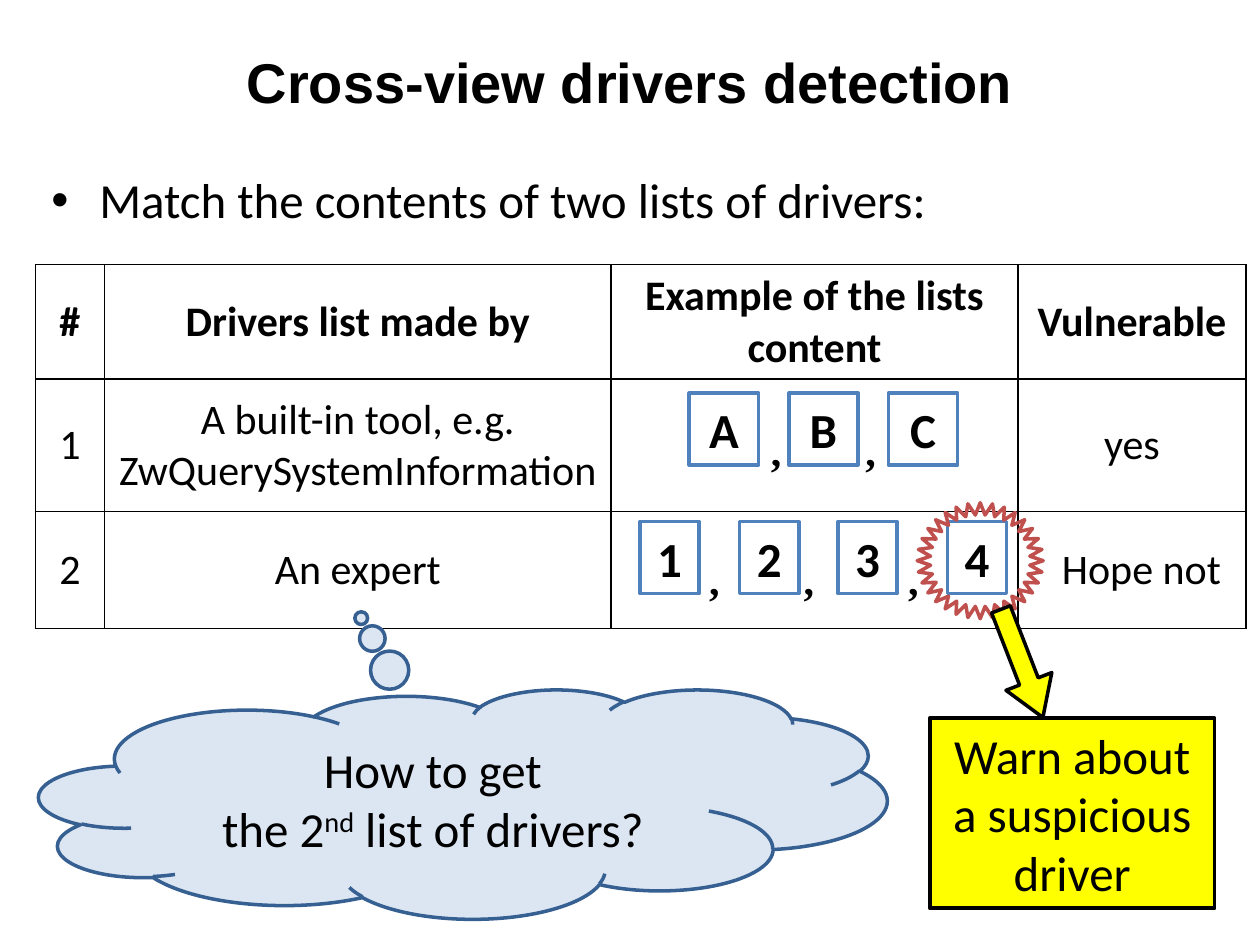
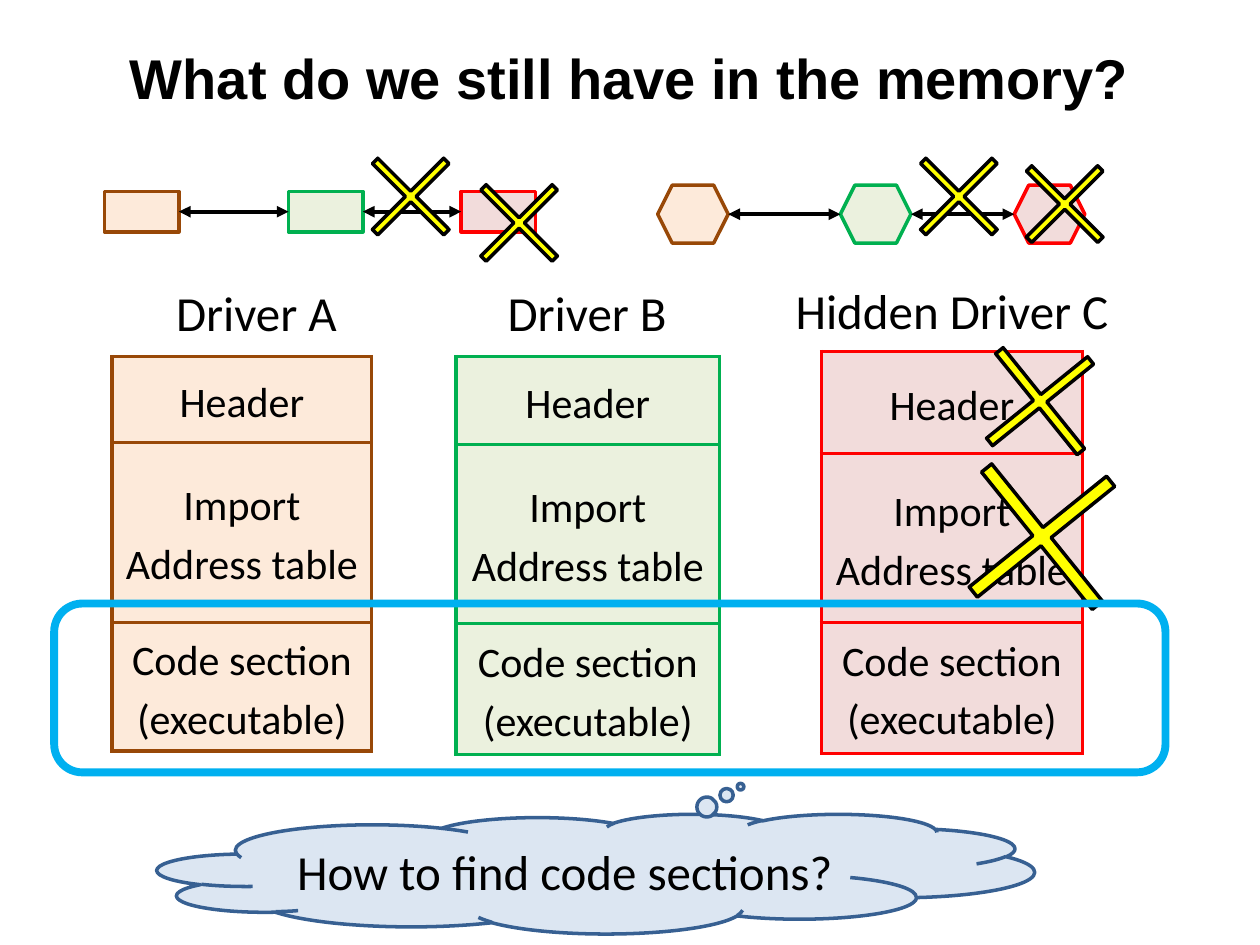
from lxml import etree
from pptx import Presentation
from pptx.dml.color import RGBColor
from pptx.enum.shapes import MSO_CONNECTOR, MSO_SHAPE
from pptx.enum.text import MSO_ANCHOR, PP_ALIGN
from pptx.oxml.ns import qn
from pptx.util import Inches, Pt

RECTANGLE, HEXAGON = MSO_SHAPE.RECTANGLE, MSO_SHAPE.HEXAGON
CENTER, LEFT = PP_ALIGN.CENTER, PP_ALIGN.LEFT
MIDDLE, TOP = MSO_ANCHOR.MIDDLE, MSO_ANCHOR.TOP
LEFT_SIDE, RIGHT_SIDE = 1, 3

BLACK = RGBColor(0x00, 0x00, 0x00)
WHITE = RGBColor(0xFF, 0xFF, 0xFF)
YELLOW = RGBColor(0xFF, 0xFF, 0x00)
BLUE = RGBColor(0x4F, 0x81, 0xBD)
SKY = RGBColor(0x00, 0xB0, 0xF0)
BRICK = RGBColor(0xC0, 0x50, 0x4D)
CLOUD_FILL = RGBColor(0xDC, 0xE6, 0xF2)
CLOUD_LINE = RGBColor(0x37, 0x60, 0x92)
# Fill and line of each driver
DRIVER_A = (RGBColor(0xFD, 0xEA, 0xDA), RGBColor(0x98, 0x48, 0x07))
DRIVER_B = (RGBColor(0xEB, 0xF1, 0xDE), RGBColor(0x00, 0xB0, 0x50))
DRIVER_C = (RGBColor(0xF2, 0xDC, 0xDB), RGBColor(0xFF, 0x00, 0x00))
DRIVER_COLORS = (DRIVER_A, DRIVER_B, DRIVER_C)


# ---- Shared parts ----

def add_run(paragraph, text, size=28, bold=False, font_name="Calibri"):
    run = paragraph.add_run()
    run.text = text
    font = run.font
    font.name, font.size, font.bold = font_name, Pt(size), bold
    font.color.rgb = BLACK
    return run


def write_lines(frame, lines, align=CENTER, line_spacing=None, **font):
    for index, line in enumerate(lines):
        paragraph = frame.paragraphs[0] if index == 0 else frame.add_paragraph()
        paragraph.alignment = align
        if line_spacing:
            paragraph.line_spacing = line_spacing
        add_run(paragraph, line, **font)


def add_text(slide, box, lines, anchor=TOP, wrap=True, **style):
    frame = slide.shapes.add_textbox(*map(Inches, box)).text_frame
    frame.word_wrap = wrap
    frame.vertical_anchor = anchor
    write_lines(frame, lines, **style)
    return frame


def add_title(slide, box, title):
    add_text(slide, box, [title], MIDDLE, size=32, bold=True, font_name="Arial")


def add_figure(slide, kind, box, fill, line, width=2, adjustments=(), rotation=0):
    shape = slide.shapes.add_shape(kind, *map(Inches, box))
    shape.shadow.inherit = False
    if fill is None:
        shape.fill.background()
    else:
        shape.fill.solid()
        shape.fill.fore_color.rgb = fill
    shape.line.color.rgb = line
    shape.line.width = Pt(width)
    for index, value in enumerate(adjustments):
        shape.adjustments[index] = value
    shape.rotation = rotation
    shape.text_frame.word_wrap = True
    return shape


def add_cloud(slide, box, pointer):
    cloud = add_figure(slide, MSO_SHAPE.CLOUD_CALLOUT, box, CLOUD_FILL, CLOUD_LINE,
                       adjustments=pointer)
    return cloud.text_frame


def add_grid(slide, left, top, columns, rows):
    table = slide.shapes.add_table(
        len(rows), len(columns), Inches(left), Inches(top),
        Inches(sum(columns)), Inches(sum(rows))).table
    table.first_row = table.horz_banding = False
    for column, width in zip(table.columns, columns):
        column.width = Inches(width)
    for row, height in zip(table.rows, rows):
        row.height = Inches(height)
    return table


def style_cell(cell, border, width, fill=None):
    cell.vertical_anchor = MIDDLE
    properties = cell._tc.get_or_add_tcPr()
    for side in ("lnL", "lnR", "lnT", "lnB"):
        edge = etree.SubElement(properties, qn(f"a:{side}"), w=str(Pt(width)))
        solid = etree.SubElement(edge, qn("a:solidFill"))
        etree.SubElement(solid, qn("a:srgbClr"), val=str(border))
    if fill is None:
        cell.fill.background()
    else:
        cell.fill.solid()
        cell.fill.fore_color.rgb = fill


# ---- Slide 1: comparing two lists ----

def add_bullet_line(slide, box, text):
    paragraph = add_text(slide, box, [text], align=LEFT).paragraphs[0]
    properties = paragraph._p.get_or_add_pPr()
    properties.set("marL", str(Inches(0.38)))
    properties.set("indent", str(-Inches(0.38)))
    etree.SubElement(properties, qn("a:buFont"), typeface="Arial")
    etree.SubElement(properties, qn("a:buChar"), char="•")


def add_comparison_table(slide, left, top):
    rows = [
        (["#"], ["Drivers list made by"], ["Example of the lists content"], ["Vulnerable"]),
        (["1"], ["A built-in tool, e.g.", "ZwQuerySystemInformation"], [], ["yes"]),
        (["2"], ["An expert"], [], ["Hope not"]),
    ]
    table = add_grid(slide, left, top, (0.55, 4.02, 3.23, 1.81), (0.91, 1.05, 0.93))
    for row_index, row in enumerate(rows):
        for column_index, lines in enumerate(row):
            cell = table.cell(row_index, column_index)
            style_cell(cell, BLACK, 1)
            write_lines(cell.text_frame, lines, size=24, bold=row_index == 0)
    table.cell(2, 3).margin_left = Inches(0.25)


def add_driver_list(slide, top, lefts, names, width, comma_left, comma_stops):
    for left, name in zip(lefts, names):
        tile = add_figure(slide, RECTANGLE, (left, top, width, 0.57), WHITE, BLUE)
        write_lines(tile.text_frame, [name], bold=True)
    # Commas between the tiles stand on tab stops
    frame = slide.shapes.add_textbox(Inches(comma_left), Inches(top + 0.2),
                                     Inches(2.07), Inches(0.5)).text_frame
    frame.word_wrap = True
    paragraph = frame.paragraphs[0]
    stops = etree.SubElement(paragraph._p.get_or_add_pPr(), qn("a:tabLst"))
    for stop in comma_stops:
        etree.SubElement(stops, qn("a:tab"), pos=str(Inches(stop)), algn="l")
    add_run(paragraph, "\t".join("," * (len(comma_stops) + 1)), 24, True,
            "Times New Roman")


def add_warning(slide, left, top):
    add_figure(slide, MSO_SHAPE.STAR_32_POINT, (left - 0.1, top - 1.71, 1, 0.92),
               None, BRICK, adjustments=(0.396,))
    warning = add_figure(slide, RECTANGLE, (left, top, 2.26, 1.51), YELLOW, BLACK, 2.25)
    write_lines(warning.text_frame, ["Warn about a suspicious driver"])
    add_figure(slide, MSO_SHAPE.RIGHT_ARROW, (left + 0.27, top - 0.63, 0.92, 0.39),
               YELLOW, BLACK, adjustments=(0.407, 0.786), rotation=68.8)


def build_detection_slide(slide):
    add_title(slide, (0.5, 0.09, 9, 1.1), "Cross-view drivers detection")
    add_comparison_table(slide, 0.28, 2.1)
    question = add_cloud(slide, (0.31, 5.47, 6.73, 1.82), (-0.12, -0.81))
    write_lines(question, ["How to get", "the 2"])
    second_line = question.paragraphs[1]
    add_run(second_line, "nd").font._element.set("baseline", "30000")
    add_run(second_line, " list of drivers?")
    add_bullet_line(slide, (0.31, 1.3, 9.65, 0.57),
                    "Match the contents of two lists of drivers:")
    add_driver_list(slide, 3.12, (5.47, 6.26, 7.05), "ABC", 0.55, 6.02, (0.75,))
    add_driver_list(slide, 4.14, (5.08, 5.87, 6.65, 7.52), "1234", 0.47, 5.53,
                    (0.75, 1.58))
    add_warning(slide, 7.38, 5.7)


# ---- Slide 2: what remains in memory ----

def add_double_arrow(slide, first, second):
    middle = first.top + first.height // 2
    connector = slide.shapes.add_connector(
        MSO_CONNECTOR.STRAIGHT, first.left + first.width, middle, second.left, middle)
    if first.auto_shape_type == RECTANGLE:
        connector.begin_connect(first, RIGHT_SIDE)
        connector.end_connect(second, LEFT_SIDE)
    connector.line.color.rgb = BLACK
    connector.line.width = Pt(2.25)
    line = connector.line._get_or_add_ln()
    for end in ("headEnd", "tailEnd"):
        etree.SubElement(line, qn(f"a:{end}"), type="triangle")
    etree.SubElement(connector._element.spPr, qn("a:effectLst"))


def add_chain(slide, kind, lefts, top, width, height):
    links = [add_figure(slide, kind, (left, top, width, height), fill, line)
             for left, (fill, line) in zip(lefts, DRIVER_COLORS)]
    for first, second in zip(links, links[1:]):
        add_double_arrow(slide, first, second)


def add_driver_image(slide, left, top, width, heights, name, label_box, colors):
    fill, line = colors
    add_text(slide, label_box, [name], wrap=False)
    table = add_grid(slide, left, top, (width,), heights)
    sections = (["Header"], ["Import Address table"], ["Code section", "(executable)"])
    for index, lines in enumerate(sections):
        cell = table.cell(index, 0)
        style_cell(cell, line, 2.25, fill)
        write_lines(cell.text_frame, lines, line_spacing=1.14, size=24)


def add_cross(slide, left, top, size=0.8, rotation=45):
    add_figure(slide, MSO_SHAPE.QUAD_ARROW, (left, top, size, size), YELLOW, BLACK,
               adjustments=(0.121, 0.037, 0), rotation=rotation)


def build_memory_slide(slide):
    add_title(slide, (0, 0.13, 10, 0.96), "What do we still have in the memory?")
    # Linked lists
    add_chain(slide, RECTANGLE, (0.83, 2.29, 3.66), 1.52, 0.59, 0.32)
    add_chain(slide, HEXAGON, (5.22, 6.67, 8.05), 1.47, 0.56, 0.46)
    # Drivers in memory
    add_driver_image(slide, 0.89, 2.83, 2.06, (0.68, 1.43, 1.02), "Driver A",
                     (1.29, 2.19, 1.49, 0.57), DRIVER_A)
    add_driver_image(slide, 3.62, 2.83, 2.09, (0.7, 1.42, 1.04), "Driver B",
                     (3.92, 2.19, 1.48, 0.57), DRIVER_B)
    add_driver_image(slide, 6.52, 2.79, 2.07, (0.81, 1.34, 1.04), "Hidden Driver C",
                     (6.2, 2.18, 2.71, 0.57), DRIVER_C)
    # Removed links and sections
    for left, top in ((3.72, 1.37), (2.86, 1.16), (7.21, 1.16), (8.05, 1.22)):
        add_cross(slide, left, top)
    add_cross(slide, 7.74, 2.67, 1.03, 51.1)
    add_cross(slide, 7.57, 3.56, 1.4, 51.1)
    # Question and the sections that remain
    question = add_cloud(slide, (1.25, 6.46, 6.96, 0.95), (0.165, -0.728))
    write_lines(question, ["How to find code sections?"])
    add_figure(slide, MSO_SHAPE.ROUNDED_RECTANGLE, (0.43, 4.79, 8.82, 1.34),
               None, SKY, 4.5)


def main():
    presentation = Presentation()
    presentation.slide_width, presentation.slide_height = Inches(10), Inches(7.5)
    blank = presentation.slide_layouts[6]
    for build in (build_detection_slide, build_memory_slide):
        build(presentation.slides.add_slide(blank))
    presentation.save("out.pptx")


if __name__ == "__main__":
    main()
